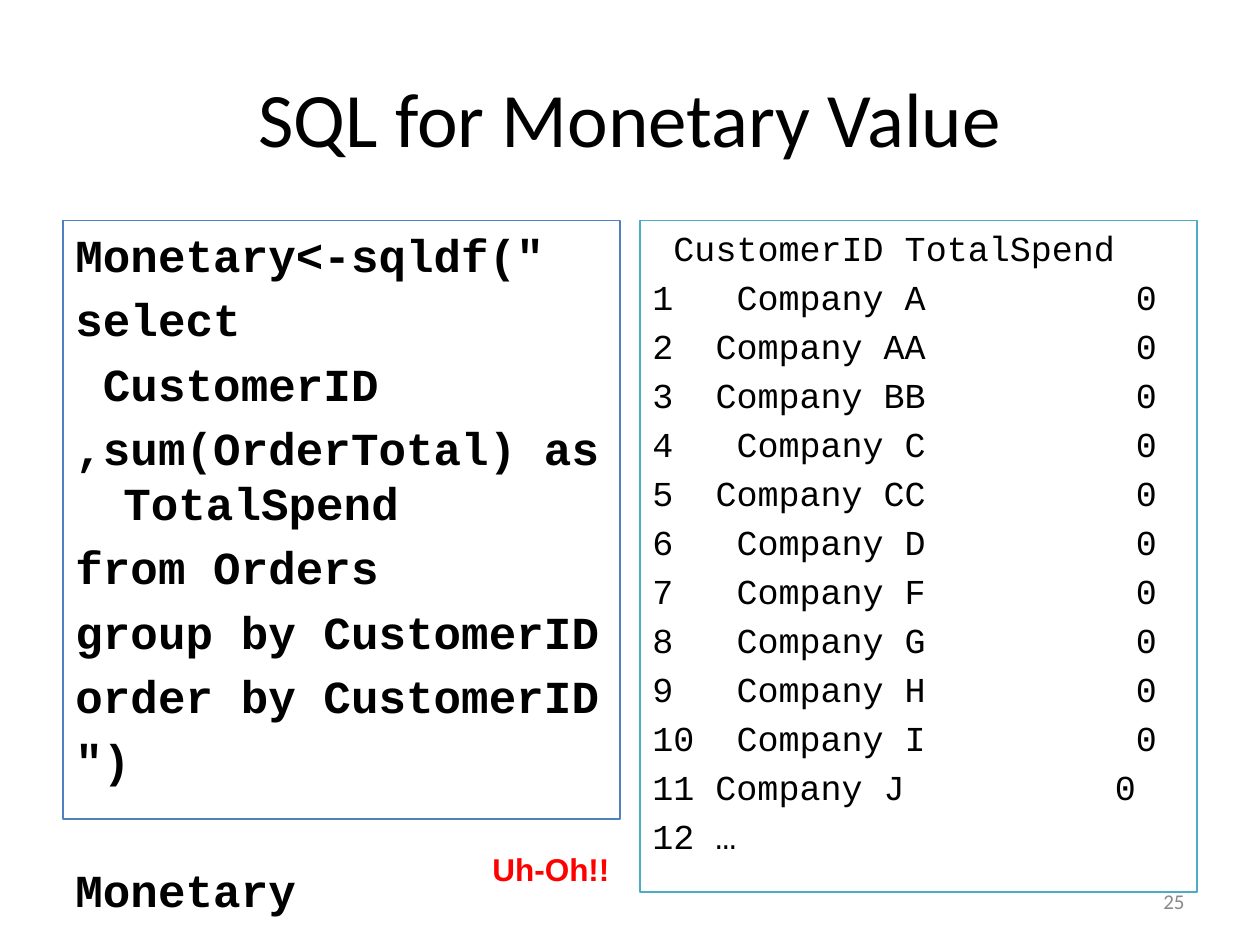
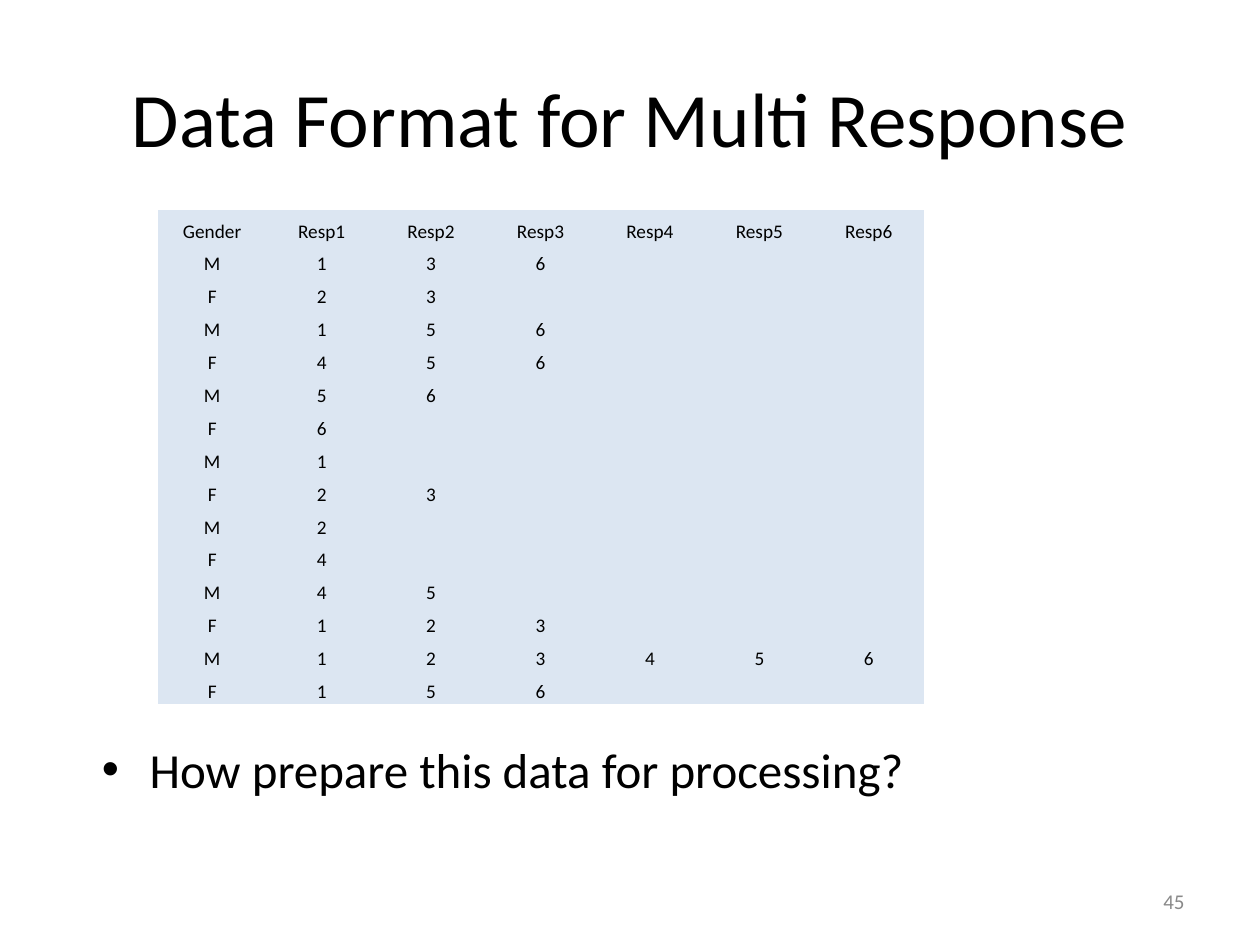
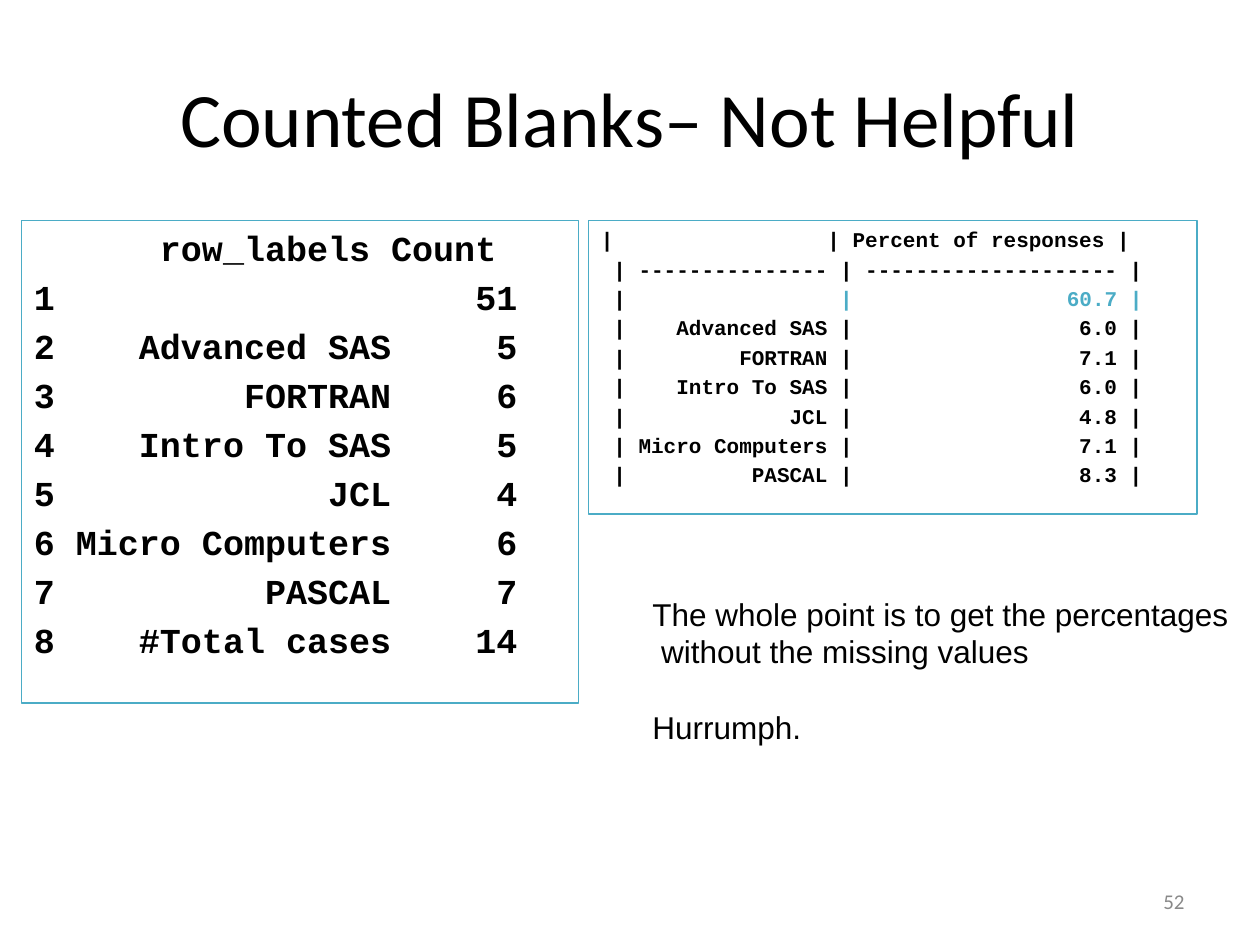
from pptx import Presentation
from pptx.dml.color import RGBColor
from pptx.enum.text import MSO_ANCHOR, PP_ALIGN
from pptx.oxml.ns import qn
from pptx.util import Inches, Pt
from lxml.etree import SubElement

BLACK = RGBColor(0x00, 0x00, 0x00)
GREY = RGBColor(0x89, 0x89, 0x89)
RED = RGBColor(0xFF, 0x00, 0x00)
BLUE = RGBColor(0x4F, 0x81, 0xBD)
TEAL = RGBColor(0x4B, 0xAC, 0xC6)
PALE = RGBColor(0xDC, 0xE6, 0xF2)
SANS, MONO, ARIAL = "Calibri", "Courier New", "Arial"

W, H = 10, 7.5
MARGIN = W / 20
TOP = 1.75
HALF = 4.42
RIGHT = W - MARGIN - HALF


def add_text(s, box, lines, size, font, color=BLACK, bold=False, align=None,
             anchor=MSO_ANCHOR.TOP, border=None, wrap=True):
    """Add a text box; a line is a string or a list of (text, colour) runs."""
    sp = s.shapes.add_textbox(*(Inches(v) for v in box))
    if border is not None:
        sp.line.color.rgb = border
        sp.line.width = Pt(0.75)
    tf = sp.text_frame
    tf.word_wrap = wrap
    tf.vertical_anchor = anchor
    for i, line in enumerate(lines):
        p = tf.paragraphs[0] if i == 0 else tf.add_paragraph()
        p.alignment = align
        for text, tint in [(line, color)] if isinstance(line, str) else line:
            r = p.add_run()
            r.text = text
            r.font.name, r.font.size, r.font.bold = font, Pt(size), bold
            r.font.color.rgb = tint
    return tf.paragraphs


def layout(p, indent=0, bullet=None):
    """Set space before to 20 percent, a hanging indent and a bullet or start number."""
    pPr = p._p.get_or_add_pPr()
    pPr.set("marL", str(Inches(indent)))
    pPr.set("indent", str(-Inches(indent)))
    SubElement(SubElement(pPr, qn("a:spcBef")), qn("a:spcPct"), val="20000")
    if bullet == "•":
        SubElement(pPr, qn("a:buFont"), typeface=ARIAL)
        SubElement(pPr, qn("a:buChar"), char=bullet)
    elif bullet:
        SubElement(pPr, qn("a:buAutoNum"), type="arabicPlain", startAt=str(bullet))


prs = Presentation()
prs.slide_width, prs.slide_height = Inches(W), Inches(H)

# Title and page number of every slide
slides = []
for title, number in [("SQL for Monetary Value", "25"),
                      ("Data Format for Multi Response", "45"),
                      ("Counted Blanks– Not Helpful", "52")]:
    s = prs.slides.add_slide(prs.slide_layouts[6])
    add_text(s, (MARGIN, 0.3, W - 2 * MARGIN, 1.25), [title], 44, SANS,
             align=PP_ALIGN.CENTER, anchor=MSO_ANCHOR.MIDDLE)
    add_text(s, (7.17, 6.95, 2.33, 0.4), [number], 12, SANS, GREY,
             align=PP_ALIGN.RIGHT, anchor=MSO_ANCHOR.MIDDLE)
    slides.append(s)
sql, responses, blanks = slides

# SQL: query
query = ['Monetary<-sqldf("', "select", " CustomerID", ",sum(OrderTotal) as TotalSpend",
         "from Orders", "group by CustomerID", "order by CustomerID", '")', "Monetary"]
paragraphs = add_text(sql, (MARGIN, TOP, HALF, 4.75), query, 26.25, MONO, bold=True, border=BLUE)
for p in paragraphs:
    layout(p, 0.38)
paragraphs[-1].space_before = Pt(42.5)

# SQL: console output in fixed-width columns, the last two rows numbered automatically
companies = ["A", "AA", "BB", "C", "CC", "D", "F", "G", "H", "I"]
result = [" CustomerID TotalSpend"]
result += [f"{n:<3}{'Company ' + name:>10}{0:>11}" for n, name in enumerate(companies, 1)]
result += [f"Company J{0:>11}", "…"]
paragraphs = add_text(sql, (RIGHT, TOP, HALF, 5.33), result, 20, MONO, border=TEAL)
for p in paragraphs[:-2]:
    layout(p)
for p in paragraphs[-2:]:
    layout(p, 0.5, bullet=11)
add_text(sql, (3.81, 6.7, 1.14, 0.4), ["Uh-Oh!!"], 18, ARIAL, RED, bold=True, wrap=False)

# Multi response: table
answers = ["136", "23", "156", "456", "56", "6", "1", "23", "2", "4", "45", "123", "123456", "156"]
rows = [["Gender"] + [f"Resp{n}" for n in range(1, 7)]]
rows += [["MF"[i % 2], *answer] for i, answer in enumerate(answers)]
frame = responses.shapes.add_table(len(rows), 7, Inches(1.25), Inches(1.67),
                                   Inches(6.08), Inches(3.92))
table = frame.table
table.first_row = table.horz_banding = False
table._tbl.tblPr.find(qn("a:tableStyleId")).text = "{2D5ABB26-0587-4C30-8999-92F81FD0307C}"
for i, row in enumerate(rows):
    table.rows[i].height = Inches(3.92 / len(rows))
    for j in range(7):
        cell = table.cell(i, j)
        cell.fill.solid()
        cell.fill.fore_color.rgb = PALE
        cell.margin_left = cell.margin_right = cell.margin_top = Inches(0.01)
        cell.margin_bottom = 0
        cell.vertical_anchor = MSO_ANCHOR.BOTTOM
        p = cell.text_frame.paragraphs[0]
        p.alignment = PP_ALIGN.CENTER
        if j < len(row):
            r = p.add_run()
            r.text = row[j]
            r.font.name, r.font.size = SANS, Pt(11)
            r.font.color.rgb = BLACK
        else:
            SubElement(p._p, qn("a:endParaRPr"), sz="1100")

# Multi response: question
paragraphs = add_text(responses, (0.71, 5.82, 7.17, 1.33),
                      ["How prepare this data for processing?"], 28, SANS)
layout(paragraphs[0], 0.38, bullet="•")

# Counted blanks: console output of counts and percentages in fixed-width columns
courses = [("", "51", "60.7"), ("Advanced SAS", "5", "6.0"), ("FORTRAN", "6", "7.1"),
           ("Intro To SAS", "5", "6.0"), ("JCL", "4", "4.8"),
           ("Micro Computers", "6", "7.1"), ("PASCAL", "7", "8.3")]
totals = [(label, count) for label, count, _ in courses] + [("#Total cases", "14")]
counts = [f"{'row_labels Count':>22}"]
counts += [f"{n}{label:>16}{count:>6}" for n, (label, count) in enumerate(totals, 1)]

percents = [f"| {'':15} | Percent of responses |", f" | {'-' * 15} | {'-' * 20} |"]
for label, _, percent in courses:
    tint = BLACK if label else TEAL
    percents.append([(f" | {label:>15} ", BLACK), (f"| {percent:>20} |", tint)])

for left, width, height, lines, size in [(0.17, HALF, 3.83, counts, 20),
                                         (4.67, 4.83, 2.33, percents, 12)]:
    for p in add_text(blanks, (left, TOP, width, height), lines, size, MONO,
                      bold=True, border=TEAL):
        layout(p)

# Counted blanks: remark
paragraphs = add_text(blanks, (RIGHT, 4.67, 4.82, 1.31),
                      ["The whole point is to get the percentages",
                       " without the missing values", "Hurrumph."], 18, ARIAL, wrap=False)
paragraphs[-1].space_before = Pt(21.6)

prs.save("out.pptx")
